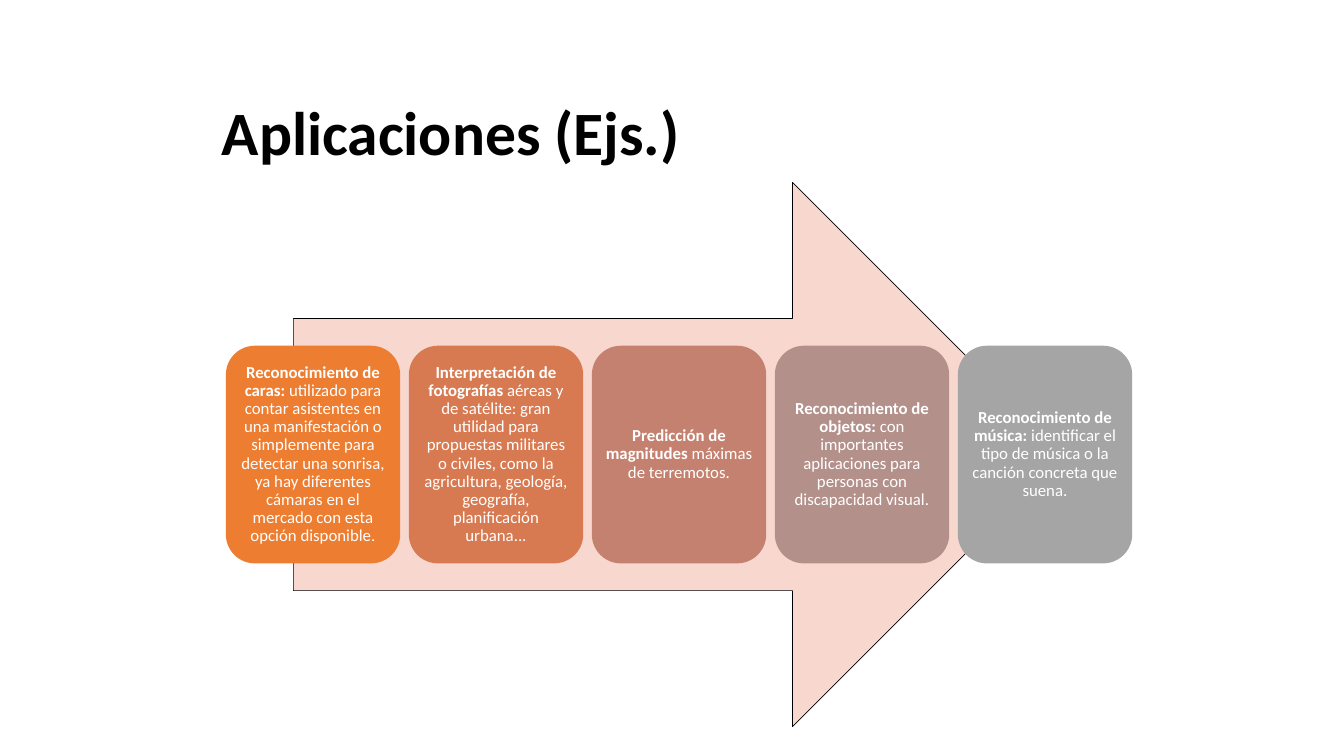
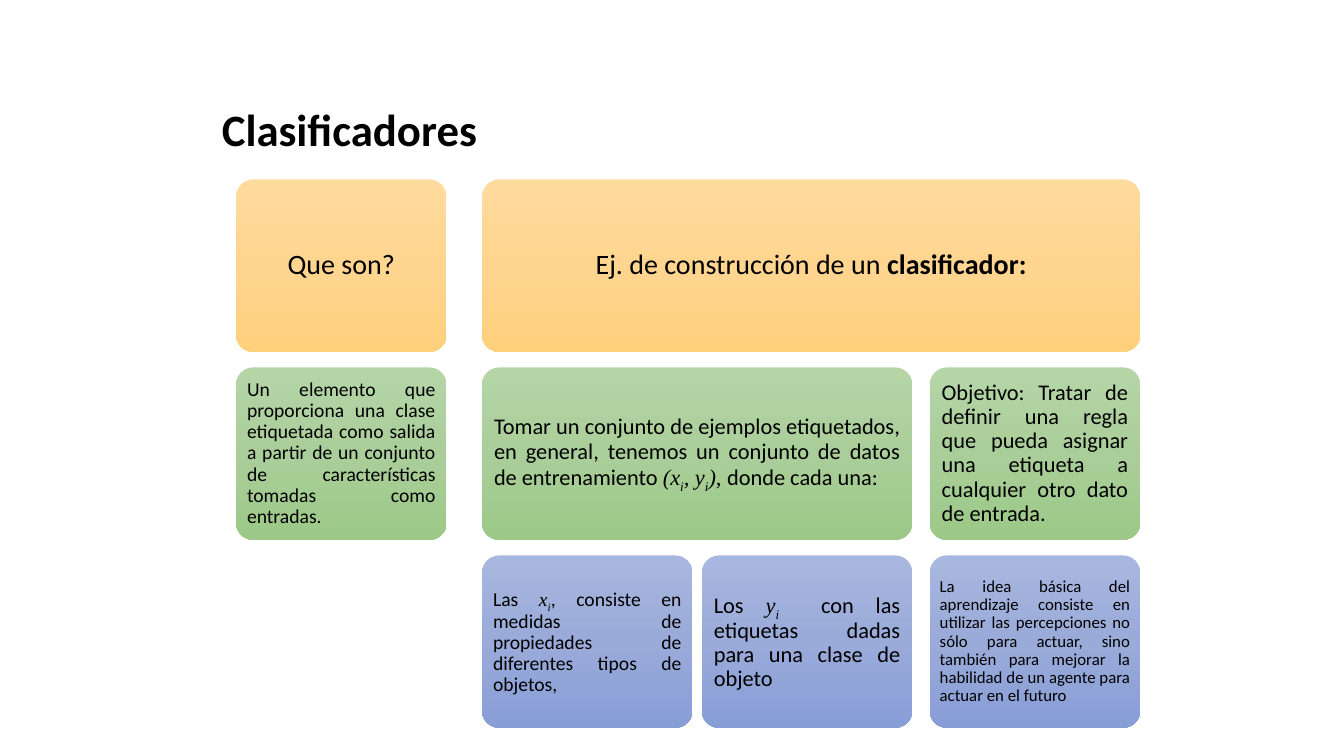
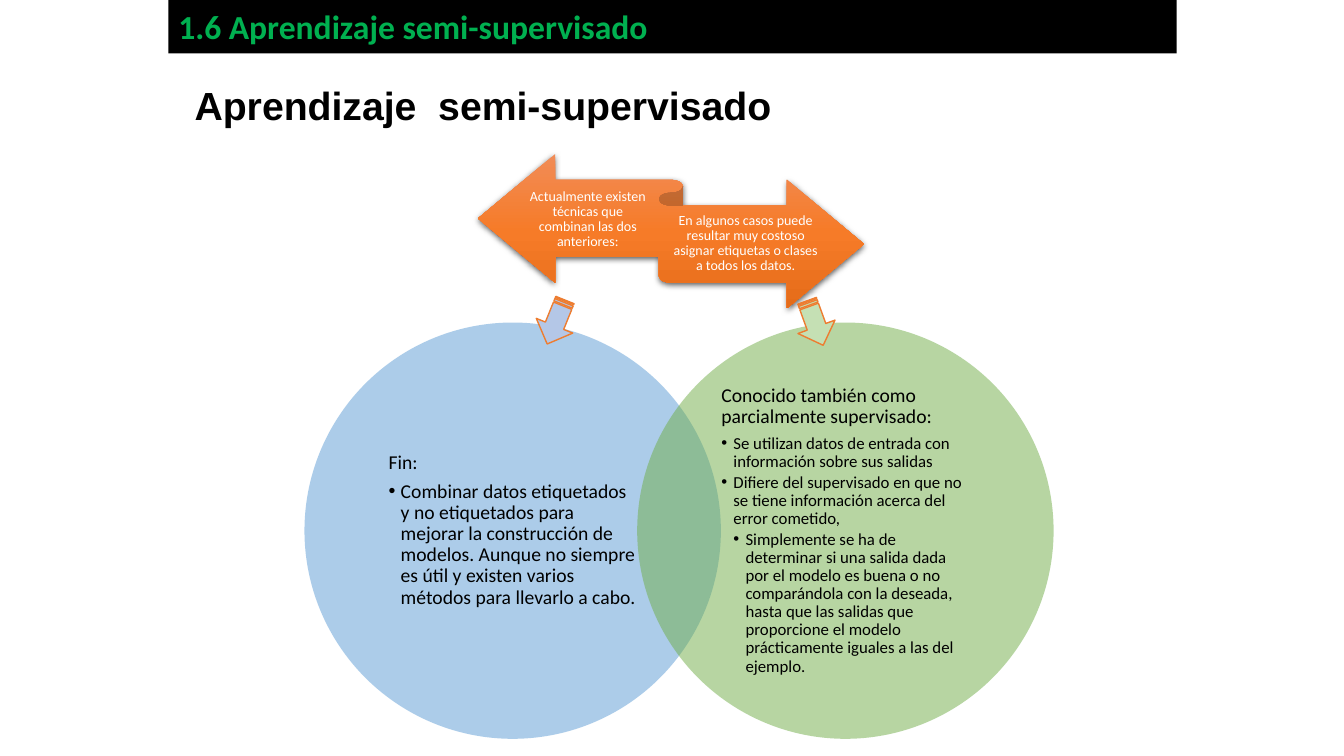
from copy import deepcopy

from lxml.etree import SubElement
from pptx import Presentation
from pptx.dml.color import RGBColor
from pptx.enum.shapes import MSO_SHAPE
from pptx.enum.text import MSO_ANCHOR, MSO_AUTO_SIZE, PP_ALIGN
from pptx.oxml.ns import qn
from pptx.util import Inches, Pt

BLACK = RGBColor(0x00, 0x00, 0x00)
WHITE = RGBColor(0xFF, 0xFF, 0xFF)
GREEN = RGBColor(0x00, 0xB0, 0x50)
ORANGE = RGBColor(0xED, 0x7D, 0x31)
PALE_PINK = RGBColor(0xF8, 0xD7, 0xCE)
PALE_GREEN = RGBColor(0xC5, 0xE0, 0xB4)
PALE_BLUE = RGBColor(0xB4, 0xC7, 0xE7)
CIRCLE_BLUE = RGBColor(0x5B, 0x9B, 0xD5)
CIRCLE_GREEN = RGBColor(0x70, 0xAD, 0x47)
YELLOW_BLEND = [RGBColor(0xFF, 0xDB, 0x9E), RGBColor(0xFF, 0xD5, 0x90), RGBColor(0xFF, 0xD0, 0x7C)]
GREEN_BLEND = [RGBColor(0xB5, 0xD5, 0xA7), RGBColor(0xAA, 0xCE, 0x9A), RGBColor(0x9C, 0xC9, 0x87)]
BLUE_BLEND = [RGBColor(0xA8, 0xB7, 0xDF), RGBColor(0x9A, 0xAB, 0xD9), RGBColor(0x88, 0x9E, 0xD7)]
ORANGE_BLEND = [RGBColor(0xF1, 0x8C, 0x57), RGBColor(0xF6, 0x7B, 0x28), RGBColor(0xE5, 0x6C, 0x19)]

BODY_FONT, MATH_FONT, HEADING_FONT = "Calibri", "Times New Roman", "Arial"
BULLET_INDENT = 0.12

# A text is a list of (words, style); styles: "", "bold", "math", "subscript".
APPLICATIONS = [
    (ORANGE, [("Reconocimiento de caras:", "bold"),
              (" utilizado para contar asistentes en una manifestación o simplemente para detectar "
               "una sonrisa, ya hay diferentes cámaras en el mercado con esta opción disponible.", "")]),
    (RGBColor(0xD8, 0x7A, 0x51),
     [("Interpretación de fotografías", "bold"),
      (" aéreas y de satélite: gran utilidad para propuestas militares o civiles, como la "
       "agricultura, geología, geografía, planificación urbana...", "")]),
    (RGBColor(0xC4, 0x81, 0x70),
     [("Predicción de magnitudes", "bold"), (" máximas de terremotos.", "")]),
    (RGBColor(0xB4, 0x90, 0x8B),
     [("Reconocimiento de objetos: ", "bold"),
      ("con importantes aplicaciones para personas con discapacidad visual.", "")]),
    (RGBColor(0xA5, 0xA5, 0xA5),
     [("Reconocimiento de música: ", "bold"),
      ("identificar el tipo de música o la canción concreta que suena.", "")]),
]

# First column, last column, row, text size, margin, text
CLASSIFIER_CELLS = [
    (0, 0, 0, 20, 0.08, [("Que son?", "")]),
    (0, 0, 1, 14, 0.06,
     [("Un elemento que proporciona una clase etiquetada como salida a partir de un conjunto de "
       "características tomadas como entradas.", "")]),
    (1, 3, 0, 20, 0.08, [("Ej. de construcción de un ", ""), ("clasificador:", "bold")]),
    (1, 2, 1, 16, 0.07,
     [("Tomar un conjunto de ejemplos etiquetados, en general, tenemos un conjunto de datos de "
       "entrenamiento ", ""), ("(x", "math"), ("i", "subscript"), (", y", "math"),
      ("i", "subscript"), ("), ", "math"), ("donde cada una:", "")]),
    (1, 1, 2, 14, 0.06,
     [("Las ", ""), ("x", "math"), ("i", "subscript"),
      (", consiste en medidas de propiedades de diferentes tipos de objetos,", "")]),
    (2, 2, 2, 16, 0.07,
     [("Los ", ""), ("y", "math"), ("i ", "subscript"),
      (" con las etiquetas dadas para una clase de objeto", "")]),
    (3, 3, 1, 16, 0.07,
     [("Objetivo: Tratar de definir una regla que pueda asignar una etiqueta a cualquier otro "
       "dato de entrada.", "")]),
    (3, 3, 2, 12, 0.05,
     [("La idea básica del aprendizaje consiste en utilizar las percepciones no sólo para actuar, "
       "sino también para mejorar la habilidad de un agente para actuar en el futuro", "")]),
]
CELL_WIDTH, CELL_HEIGHT = 2.09, 1.71
COLUMN_LEFTS = [2.34, 4.78, 6.96, 9.22]
ROW_TOP, ROW_PITCH = 1.78, 1.865
ROW_BLENDS = [YELLOW_BLEND, GREEN_BLEND, BLUE_BLEND]

# Left, colour, paragraphs as (level, size, words)
CIRCLES = [
    (3.02, CIRCLE_BLUE, [
        (0, 14, "Fin:"),
        (1, 14, "Combinar datos etiquetados y no etiquetados para mejorar la construcción de modelos. "
                "Aunque no siempre es útil y existen varios métodos para llevarlo a cabo."),
    ]),
    (6.32, CIRCLE_GREEN, [
        (0, 14, "Conocido también como parcialmente supervisado:"),
        (1, 12, "Se utilizan datos de entrada con información sobre sus salidas"),
        (1, 12, "Difiere del supervisado en que no se tiene información acerca del error cometido,"),
        (2, 12, "Simplemente se ha de determinar si una salida dada por el modelo es buena o no "
                "comparándola con la deseada, hasta que las salidas que proporcione el modelo "
                "prácticamente iguales a las del ejemplo."),
    ]),
]
RIBBON_LABELS = [
    ((5.2, 1.8, 1.26, 0.75), "Actualmente existen técnicas que combinan las dos anteriores:"),
    ((6.65, 2.04, 1.49, 0.75),
     "En algunos casos puede resultar muy costoso asignar etiquetas o clases a todos los datos."),
]
SMALL_ARROWS = [(7.85, 3.01, 70.1, PALE_GREEN), (5.28, 3, 112, PALE_BLUE)]


def inches(box):
    return [Inches(length) for length in box]


def set_frame(frame, horizontal, vertical):
    frame.word_wrap = True
    frame.auto_size = MSO_AUTO_SIZE.NONE
    frame.vertical_anchor = MSO_ANCHOR.MIDDLE
    frame.margin_left = frame.margin_right = Inches(horizontal)
    frame.margin_top = frame.margin_bottom = Inches(vertical)


def set_font(font, size, colour, name=BODY_FONT, bold=False):
    font.size, font.name, font.bold = Pt(size), name, bold
    font.color.rgb = colour


def write_runs(paragraph, runs, size, colour, alignment):
    paragraph.alignment = alignment
    paragraph.line_spacing = 0.9
    for words, style in runs:
        run = paragraph.add_run()
        run.text = words
        is_math = style in ("math", "subscript")
        set_font(run.font, size, colour, MATH_FONT if is_math else BODY_FONT, style == "bold")
        run.font.italic = is_math
        if style == "subscript":
            run.font._element.set("baseline", "-25000")


def add_title_slide(presentation, title, box, size, font=BODY_FONT, line_spacing=0.9):
    slide = presentation.slides.add_slide(presentation.slide_layouts[5])
    placeholder = slide.shapes.title
    placeholder.left, placeholder.top, placeholder.width, placeholder.height = inches(box)
    frame = placeholder.text_frame
    frame.text = title
    set_frame(frame, 0.1, 0.05)
    paragraph = frame.paragraphs[0]
    paragraph.alignment = PP_ALIGN.LEFT
    paragraph.line_spacing = line_spacing
    set_font(paragraph.runs[0].font, size, BLACK, font, True)
    return slide


def add_figure(slide, kind, box, fill, line=None, line_width=1):
    """Add a preset shape; fill is one colour or a list of three for a downward blend."""
    shape = slide.shapes.add_shape(kind, *inches(box))
    shape.shadow.inherit = False
    if isinstance(fill, list):
        shape.fill.gradient()
        shape.fill.gradient_angle = 270
        stop_list = shape._element.spPr.find(qn("a:gradFill")).find(qn("a:gsLst"))
        stop_list.insert(1, deepcopy(stop_list[0]))
        for stop, colour, position in zip(shape.fill.gradient_stops, fill, (0, 0.5, 1)):
            stop.color.rgb = colour
            stop.position = position
    else:
        shape.fill.solid()
        shape.fill.fore_color.rgb = fill
    if line is None:
        shape.line.fill.background()
    else:
        shape.line.color.rgb = line
        shape.line.width = Pt(line_width)
    return shape


def make_half_transparent(shape):
    colour = shape._element.spPr.find(qn("a:solidFill"))[0]
    SubElement(colour, qn("a:alpha"), val="50000")


def add_soft_shadow(shape):
    effects = shape._element.spPr.find(qn("a:effectLst"))
    shadow = SubElement(effects, qn("a:outerShdw"), blurRad=str(Pt(4.5)), dist=str(Pt(1.5)),
                        dir="5400000", algn="ctr", rotWithShape="0")
    colour = SubElement(shadow, qn("a:srgbClr"), val=str(BLACK))
    SubElement(colour, qn("a:alpha"), val="63000")


def add_bullet(paragraph, level):
    properties = paragraph._p.get_or_add_pPr()
    properties.set("marL", str(Inches(BULLET_INDENT * level)))
    properties.set("indent", str(-Inches(BULLET_INDENT)))
    SubElement(properties, qn("a:buFont"), typeface=HEADING_FONT)
    SubElement(properties, qn("a:buChar"), char="•")
    paragraph.level = level


def build_applications(presentation):
    slide = add_title_slide(presentation, "Aplicaciones (Ejs.)", (2.1, 0.72, 9, 1.25), 44)
    add_figure(slide, MSO_SHAPE.RIGHT_ARROW, (2.91, 1.81, 7.65, 5.4), PALE_PINK, BLACK, 0.5)
    for index, (colour, runs) in enumerate(APPLICATIONS):
        box = (2.24 + 1.815 * index, 3.43, 1.73, 2.16)
        card = add_figure(slide, MSO_SHAPE.ROUNDED_RECTANGLE, box, colour)
        set_frame(card.text_frame, 0.05, 0.05)
        write_runs(card.text_frame.paragraphs[0], runs, 12, WHITE, PP_ALIGN.CENTER)


def build_classifiers(presentation):
    slide = add_title_slide(presentation, "Clasificadores", (2.1, 0.99, 8.5, 0.64), 32)
    for first, last, row, size, margin, runs in CLASSIFIER_CELLS:
        left = COLUMN_LEFTS[first]
        width = COLUMN_LEFTS[last] + CELL_WIDTH - left
        box = (left, ROW_TOP + ROW_PITCH * row, width, CELL_HEIGHT)
        cell = add_figure(slide, MSO_SHAPE.ROUNDED_RECTANGLE, box, ROW_BLENDS[row])
        cell.adjustments[0] = 0.1
        set_frame(cell.text_frame, margin, margin)
        alignment = PP_ALIGN.JUSTIFY if row else PP_ALIGN.CENTER
        write_runs(cell.text_frame.paragraphs[0], runs, size, BLACK, alignment)


def build_semi_supervised(presentation):
    slide = add_title_slide(presentation, "Aprendizaje  semi-supervisado", (1.83, 0.75, 7, 0.57),
                            28, HEADING_FONT, 1.0)
    for left, colour, items in CIRCLES:
        circle = add_figure(slide, MSO_SHAPE.OVAL, (left, 3.2, 4.13, 4.13), colour)
        make_half_transparent(circle)
        frame = circle.text_frame
        set_frame(frame, 0.23, 0.02)
        for index, (level, size, words) in enumerate(items):
            paragraph = frame.add_paragraph() if index else frame.paragraphs[0]
            if level:
                add_bullet(paragraph, level)
            write_runs(paragraph, [(words, "")], size, BLACK, PP_ALIGN.LEFT)
            if index < len(items) - 1:
                paragraph.space_after = Pt(size * (0.15 if level else 0.35))

    band = add_figure(slide, MSO_SHAPE.RECTANGLE, (1.67, -0.02, 10, 0.55), BLACK)
    band.text_frame.text = "1.6 Aprendizaje semi-supervisado"
    set_frame(band.text_frame, 0.1, 0.05)
    heading = band.text_frame.paragraphs[0]
    heading.alignment = PP_ALIGN.LEFT
    set_font(heading.runs[0].font, 24, GREEN, bold=True)

    ribbon = add_figure(slide, MSO_SHAPE.LEFT_RIGHT_RIBBON, (4.74, 1.53, 3.83, 1.53), ORANGE_BLEND)
    add_soft_shadow(ribbon)
    for box, words in RIBBON_LABELS:
        label = slide.shapes.add_textbox(*inches(box))
        set_frame(label.text_frame, 0, 0.04)
        write_runs(label.text_frame.paragraphs[0], [(words, "")], 10, WHITE, PP_ALIGN.CENTER)
    for left, top, rotation, colour in SMALL_ARROWS:
        arrow = add_figure(slide, MSO_SHAPE.STRIPED_RIGHT_ARROW, (left, top, 0.47, 0.39),
                           colour, ORANGE)
        arrow.rotation = rotation


def main():
    presentation = Presentation()
    presentation.slide_width, presentation.slide_height = inches((13.33, 7.5))
    build_applications(presentation)
    build_classifiers(presentation)
    build_semi_supervised(presentation)
    presentation.save("out.pptx")


if __name__ == "__main__":
    main()
